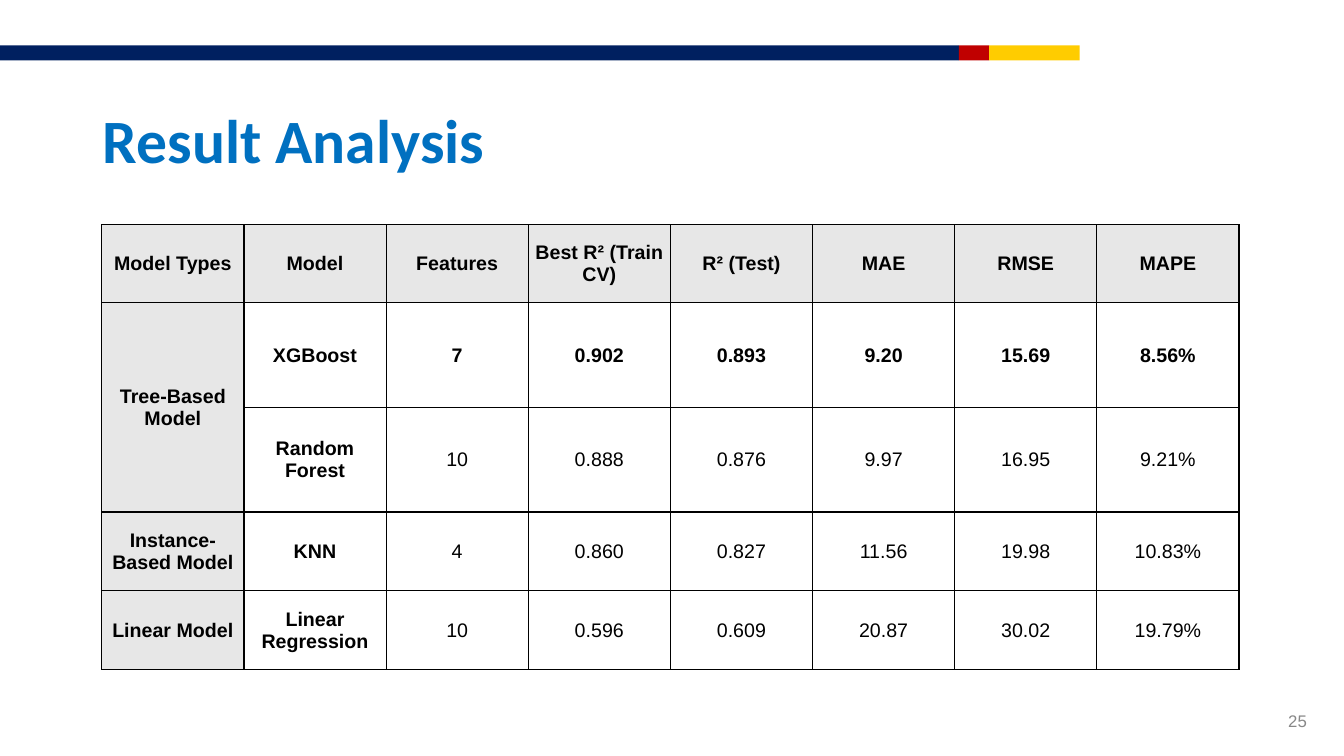
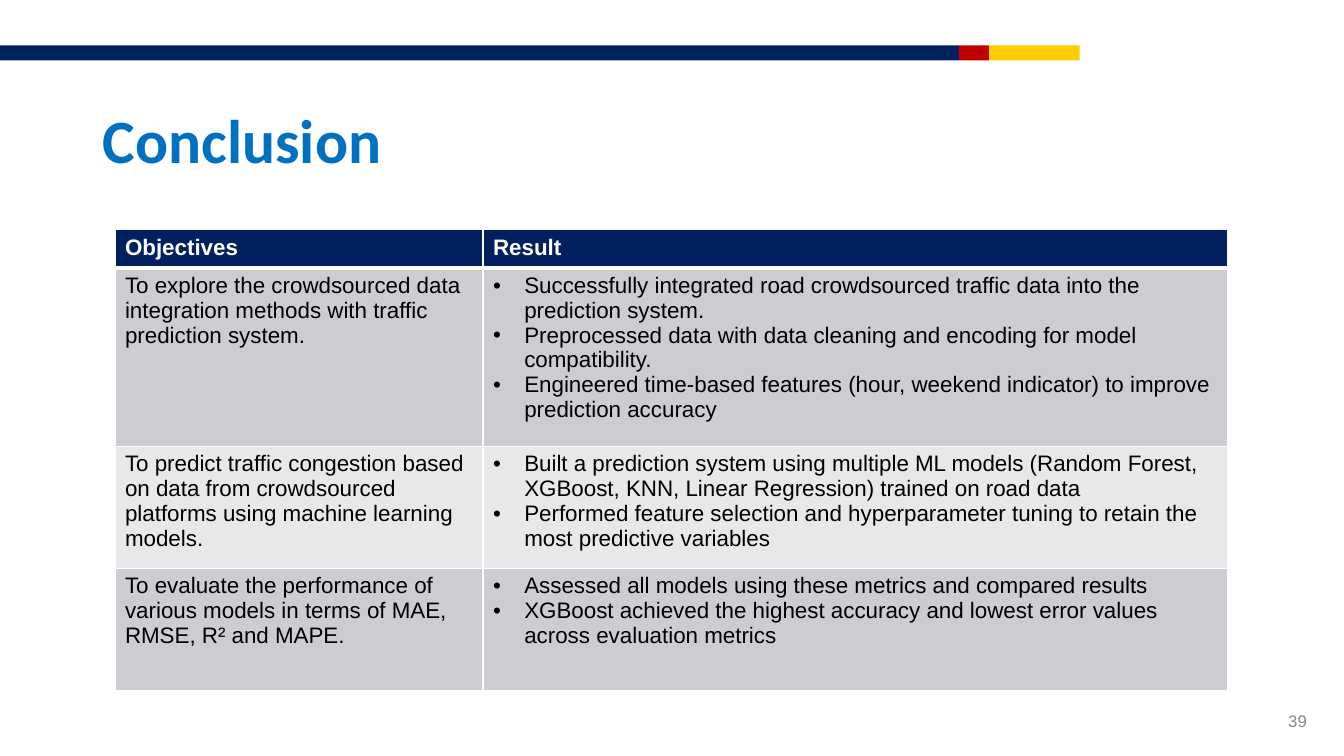
from lxml import etree
from pptx import Presentation
from pptx.dml.color import RGBColor
from pptx.enum.shapes import MSO_SHAPE
from pptx.enum.text import MSO_ANCHOR, MSO_AUTO_SIZE, PP_ALIGN
from pptx.oxml.ns import qn
from pptx.util import Inches, Pt

NAVY = RGBColor(0x00, 0x20, 0x60)
RED = RGBColor(0xC0, 0x00, 0x00)
GOLD = RGBColor(0xFF, 0xCC, 0x00)
BLUE = RGBColor(0x00, 0x70, 0xC0)
GRAY = RGBColor(0x88, 0x88, 0x88)
BLACK = RGBColor(0x00, 0x00, 0x00)
WHITE = RGBColor(0xFF, 0xFF, 0xFF)
LABEL_FILL = RGBColor(0xE7, 0xE7, 0xE7)
ROW_FILLS = (RGBColor(0xCC, 0xCD, 0xD2), RGBColor(0xE7, 0xE8, 0xEA))

BANDS = ((0, 9.51, NAVY), (9.51, 0.3, RED), (9.81, 0.9, GOLD))

SCORES = (
    ("Model Types", "Model", "Features", "Best R² (Train CV)", "R² (Test)", "MAE", "RMSE", "MAPE"),
    ("Tree-Based Model", "XGBoost", "7", "0.902", "0.893", "9.20", "15.69", "8.56%"),
    ("", "Random Forest", "10", "0.888", "0.876", "9.97", "16.95", "9.21%"),
    ("Instance-Based Model", "KNN", "4", "0.860", "0.827", "11.56", "19.98", "10.83%"),
    ("Linear Model", "Linear Regression", "10", "0.596", "0.609", "20.87", "30.02", "19.79%"),
)
BEST_ROW = 1

FINDINGS = (
    (
        "To explore the crowdsourced data integration methods with traffic prediction system.",
        (
            "Successfully integrated road crowdsourced traffic data into the prediction system.",
            "Preprocessed data with data cleaning and encoding for model compatibility.",
            "Engineered time-based features (hour, weekend indicator) to improve prediction accuracy",
        ),
    ),
    (
        "To predict traffic congestion based on data from crowdsourced platforms "
        "using machine learning models.",
        (
            "Built a prediction system using multiple ML models (Random Forest, XGBoost, KNN, "
            "Linear Regression) trained on road data",
            "Performed feature selection and hyperparameter tuning to retain the most "
            "predictive variables",
        ),
    ),
    (
        "To evaluate the performance of various models in terms of MAE, RMSE, R² and MAPE.",
        (
            "Assessed all models using these metrics and compared results",
            "XGBoost achieved the highest accuracy and lowest error values across "
            "evaluation metrics",
        ),
    ),
)


def style_text(paragraph, size, color, bold=False, font="Arial", align=PP_ALIGN.LEFT):
    paragraph.alignment = align
    for run in paragraph.runs:
        run.font.name = font
        run.font.size = Pt(size)
        run.font.bold = bold
        run.font.color.rgb = color


def add_band(slide, left, width, color):
    band = slide.shapes.add_shape(
        MSO_SHAPE.RECTANGLE, Inches(left), Inches(0.45), Inches(width), Inches(0.15))
    band.shadow.inherit = False
    band.fill.solid()
    band.fill.fore_color.rgb = color
    band.line.fill.background()


def add_page_number(slide, number):
    box = slide.shapes.add_textbox(Inches(9.95), Inches(6.95), Inches(3.11), Inches(0.4))
    frame = box.text_frame
    frame.word_wrap = True
    frame.vertical_anchor = MSO_ANCHOR.MIDDLE
    frame.text = str(number)
    style_text(frame.paragraphs[0], 12, GRAY, align=PP_ALIGN.RIGHT)


def add_titled_slide(deck, heading, number):
    slide = deck.slides.add_slide(deck.slide_layouts[5])
    for left, width, color in BANDS:
        add_band(slide, left, width, color)
    add_page_number(slide, number)
    title = slide.shapes.title
    title.left, title.top = Inches(0.92), Inches(0.65)
    title.width, title.height = Inches(11.5), Inches(1.45)
    frame = title.text_frame
    frame.auto_size = MSO_AUTO_SIZE.NONE
    frame.vertical_anchor = MSO_ANCHOR.MIDDLE
    frame.text = heading
    style_text(frame.paragraphs[0], 44, BLUE, bold=True, font="Calibri")
    return slide


def add_grid(slide, left, top, widths, heights):
    grid = slide.shapes.add_table(
        len(heights), len(widths), Inches(left), Inches(top),
        Inches(sum(widths)), Inches(sum(heights))).table
    grid.horz_banding = False
    for column, width in zip(grid.columns, widths):
        column.width = Inches(width)
    for row, height in zip(grid.rows, heights):
        row.height = Inches(height)
    return grid


def paint_cell(cell, fill, border, top=1, bottom=1):
    cell.fill.solid()
    cell.fill.fore_color.rgb = fill
    properties = cell._tc.get_or_add_tcPr()
    edges = (("a:lnL", 1), ("a:lnR", 1), ("a:lnT", top), ("a:lnB", bottom))
    for position, (tag, width) in enumerate(edges):
        edge = etree.Element(qn(tag), w=str(Pt(width)))
        paint = etree.SubElement(edge, qn("a:solidFill"))
        etree.SubElement(paint, qn("a:srgbClr"), val=str(border))
        properties.insert(position, edge)


def add_bullet(paragraph):
    properties = paragraph._p.get_or_add_pPr()
    indent = Inches(0.31)
    properties.set("marL", str(indent))
    properties.set("indent", str(-indent))
    etree.SubElement(properties, qn("a:buFont"), typeface="Arial")
    etree.SubElement(properties, qn("a:buChar"), char="•")


def add_score_table(slide):
    grid = add_grid(slide, 1.01, 2.23, [1.41] * 8, (0.77, 1.04, 1.04, 0.78, 0.78))
    for r, scores in enumerate(SCORES):
        for c, score in enumerate(scores):
            cell = grid.cell(r, c)
            paint_cell(cell, LABEL_FILL if r == 0 or c == 0 else WHITE, BLACK)
            cell.margin_left = cell.margin_right = cell.margin_top = Inches(0.01)
            cell.margin_bottom = 0
            cell.vertical_anchor = MSO_ANCHOR.MIDDLE
            cell.text_frame.text = score
            style_text(cell.text_frame.paragraphs[0], 14, BLACK,
                       bold=r <= BEST_ROW or c <= 1, align=PP_ALIGN.CENTER)
    grid.cell(1, 0).merge(grid.cell(2, 0))


def add_findings_table(slide):
    grid = add_grid(slide, 1.14, 2.28, (3.65, 7.39), (0.38, 1.77, 1.21, 1.21))
    for c, heading in enumerate(("Objectives", "Result")):
        cell = grid.cell(0, c)
        paint_cell(cell, NAVY, WHITE, bottom=3)
        cell.text_frame.text = heading
        style_text(cell.text_frame.paragraphs[0], 16, WHITE, bold=True)
    for r, (objective, results) in enumerate(FINDINGS, start=1):
        for c, lines in enumerate(((objective,), results)):
            cell = grid.cell(r, c)
            paint_cell(cell, ROW_FILLS[(r - 1) % 2], WHITE, top=3 if r == 1 else 1)
            cell.text_frame.text = "\n".join(lines)
            for paragraph in cell.text_frame.paragraphs:
                if c == 1:
                    add_bullet(paragraph)
                style_text(paragraph, 16, BLACK)


def main():
    deck = Presentation()
    deck.slide_width, deck.slide_height = Inches(13.33), Inches(7.5)
    add_score_table(add_titled_slide(deck, "Result Analysis", 25))
    add_findings_table(add_titled_slide(deck, "Conclusion", 39))
    deck.save("out.pptx")


if __name__ == "__main__":
    main()
